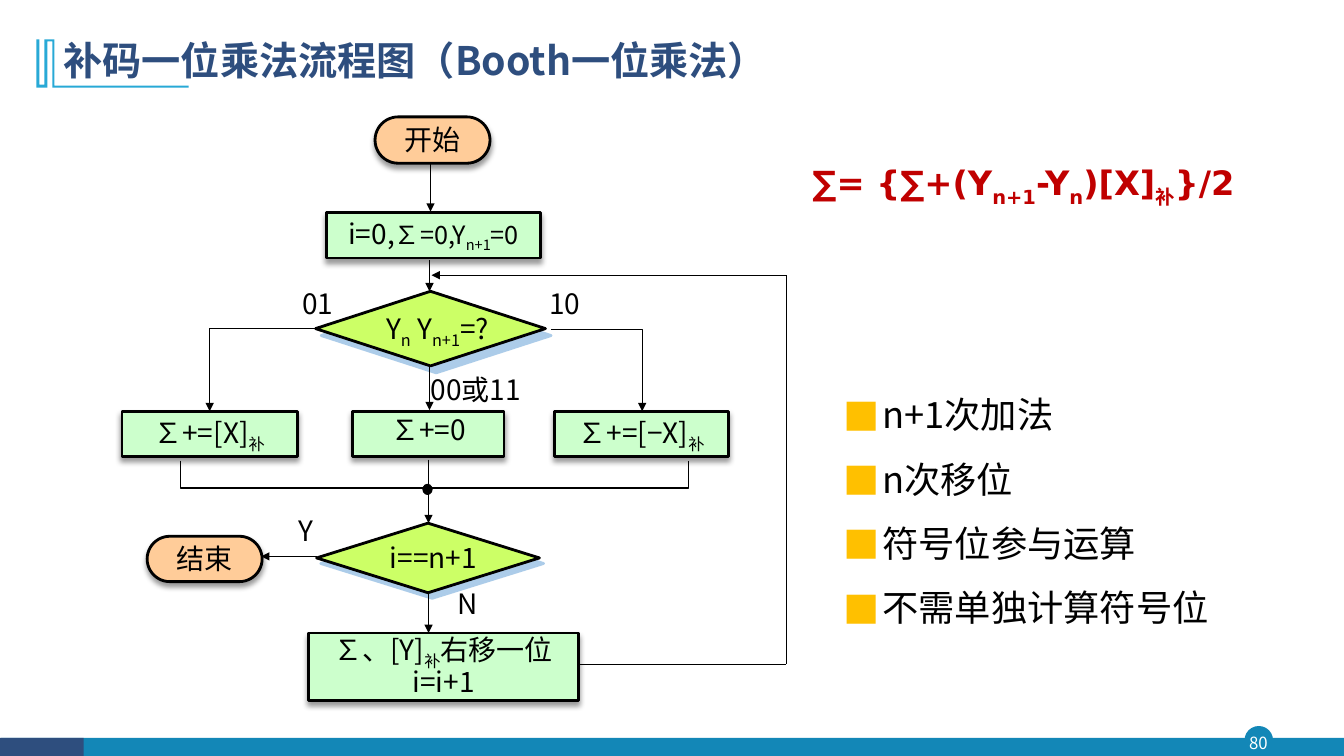
from itertools import pairwise

from lxml import etree
from pptx import Presentation
from pptx.dml.color import RGBColor
from pptx.enum.shapes import MSO_CONNECTOR, MSO_SHAPE
from pptx.enum.text import MSO_ANCHOR, MSO_AUTO_SIZE, PP_ALIGN
from pptx.oxml.ns import qn
from pptx.util import Pt

PX = 9144  # EMU per px, 100 px to the inch
FONT = "Noto Sans CJK SC"
COLORS = {
    "black": "000000", "white": "FFFFFF", "navy": "2E4E7E", "teal": "1387B7",
    "sky": "28A9D6", "peach": "FFCC99", "mint": "CCFFCC", "lime": "CCFF66",
    "blue_shadow": "5B9BD5", "bullet": "FFC000", "red": "C00000",
}
SOFT_SHADOW = ("black", 40, 4, 3, 90)


def rgb(color):
    return RGBColor.from_string(COLORS[color])


def px(*lengths):
    return [length * PX for length in lengths]


def format_run(run, size, color="black", font=FONT, bold=False):
    run.font.size = Pt(size)
    run.font.name = font
    run.font.bold = bold
    run.font.color.rgb = rgb(color)
    etree.SubElement(run.font._element, qn("a:ea")).set("typeface", font)


def write(shape, lines, size=20, color="black", font=FONT, bold=False, spacing=0.8,
          align=PP_ALIGN.CENTER, anchor=MSO_ANCHOR.TOP, insets=(0, 0, 0, 0)):
    """Write lines in which every second part between bars is a subscript."""
    frame = shape.text_frame
    frame.word_wrap = True
    frame.auto_size = MSO_AUTO_SIZE.NONE
    frame.vertical_anchor = anchor
    (frame.margin_left, frame.margin_top,
     frame.margin_right, frame.margin_bottom) = px(*insets)
    for number, line in enumerate(lines):
        paragraph = frame.add_paragraph() if number else frame.paragraphs[0]
        paragraph.alignment = align
        paragraph.line_spacing = spacing
        paragraph.space_before = Pt(3 if number else 0)
        for position, part in enumerate(line.split("|")):
            if part:
                run = paragraph.add_run()
                run.text = part
                format_run(run, size, color, font, bold)
                if position % 2:
                    run.font._element.set("baseline", "-25000")


def add_label(slide, box, text, **style):
    label = slide.shapes.add_textbox(*px(*box))
    write(label, [text], **style)


def add_block(slide, kind, box, fill, line=None, width=1.0):
    block = slide.shapes.add_shape(kind, *px(*box))
    block.shadow.inherit = False
    block.fill.solid()
    block.fill.fore_color.rgb = rgb(fill)
    if line:
        block.line.color.rgb = rgb(line)
        block.line.width = Pt(width)
    else:
        block.line.fill.background()
    return block


def add_shadow(shape, color, opacity, blur, distance, angle):
    effects = shape._element.spPr.find(qn("a:effectLst"))
    outer = etree.SubElement(effects, qn("a:outerShdw"), blurRad=str(Pt(blur)),
                             dist=str(Pt(distance)), dir=str(angle * 60000),
                             algn="ctr", rotWithShape="0")
    tint = etree.SubElement(outer, qn("a:srgbClr"), val=COLORS[color])
    etree.SubElement(tint, qn("a:alpha"), val=str(opacity * 1000))


def add_step(slide, box, lines, **style):
    step = add_block(slide, MSO_SHAPE.RECTANGLE, box, "mint", "black", 2)
    add_shadow(step, *SOFT_SHADOW)
    write(step, lines, **({"insets": (0, 8, 0, 0)} | style))
    return step


def add_terminal(slide, box, text):
    terminal = add_block(slide, MSO_SHAPE.ROUNDED_RECTANGLE, box, "peach", "black", 2)
    terminal.adjustments[0] = 0.5
    add_shadow(terminal, *SOFT_SHADOW)
    write(terminal, [text], insets=(10, 5, 10, 5))


def add_decision(slide, box, text_box, text, shadow_distance, shadow_angle):
    diamond = add_block(slide, MSO_SHAPE.DIAMOND, box, "lime", "black", 2)
    add_shadow(diamond, "blue_shadow", 50, 0, shadow_distance, shadow_angle)
    add_label(slide, text_box, text)


def add_flow(slide, start, end, width=1.0, arrow=True, bent=False):
    kind = MSO_CONNECTOR.ELBOW if bent else MSO_CONNECTOR.STRAIGHT
    flow = slide.shapes.add_connector(kind, *px(*start, *end))
    flow.line.color.rgb = rgb("black")
    flow.line.width = Pt(width)
    properties = flow._element.spPr
    if bent:
        properties.find(qn("a:prstGeom")).set("prst", "bentConnector2")
    if arrow:
        etree.SubElement(properties.find(qn("a:ln")), qn("a:tailEnd"), type="triangle")
    etree.SubElement(properties, qn("a:effectLst"))


def add_outline(slide, points, closed):
    builder = slide.shapes.build_freeform(*points[0], scale=PX)
    builder.add_line_segments(points[1:], close=closed)
    outline = builder.convert_to_shape()
    outline.shadow.inherit = False
    return outline


def add_frame(slide):
    # Footer bar and page number
    add_block(slide, MSO_SHAPE.OVAL, (1235, 721, 27, 27), "teal", "teal")
    add_block(slide, MSO_SHAPE.RECTANGLE, (1, 732, 1332, 18), "teal")
    add_block(slide, MSO_SHAPE.RECTANGLE, (0, 732, 83, 18), "navy")
    add_label(slide, (1232, 721, 32, 31), "80", size=12, color="white",
              spacing=1.0, anchor=MSO_ANCHOR.MIDDLE)
    # Title ornament
    ornament = add_outline(slide, [
        (54, 39), (54, 85), (187, 85), (187, 87), (52, 87), (52, 41), (47, 41),
        (47, 87), (36, 87), (36, 39), (39, 39), (39, 84), (44, 84), (44, 39)], True)
    ornament.fill.solid()
    ornament.fill.fore_color.rgb = rgb("sky")
    ornament.line.fill.background()


def place(placeholder, box):
    (placeholder.left, placeholder.top,
     placeholder.width, placeholder.height) = px(*box)


def fill_bullets(body, items):
    place(body, (827, 375, 445, 298))
    frame = body.text_frame
    frame.text = "\n".join(items)
    frame.auto_size = MSO_AUTO_SIZE.NONE
    for number, paragraph in enumerate(frame.paragraphs):
        paragraph.alignment = PP_ALIGN.JUSTIFY
        paragraph.line_spacing = 1.22
        paragraph.space_before = Pt(8 if number else 0)
        properties = paragraph._p.get_or_add_pPr()
        properties.set("marL", str(38 * PX))
        properties.set("indent", str(-38 * PX))
        bullet_color = etree.SubElement(properties, qn("a:buClr"))
        etree.SubElement(bullet_color, qn("a:srgbClr"), val=COLORS["bullet"])
        etree.SubElement(properties, qn("a:buFont"), typeface=FONT)
        etree.SubElement(properties, qn("a:buChar"), char="■")
        format_run(paragraph.runs[0], 25.9)


def add_flowchart(slide):
    # Steps, decisions and terminals
    add_terminal(slide, (372, 116, 114, 46), "开始")
    initial = add_step(slide, (324, 211, 212, 45), ["i=0,||∑=0,Y|n+1|=0"])
    for run in initial.text_frame.paragraphs[0].runs[1:]:
        run.font.size = Pt(18)
    add_decision(slide, (313, 289, 228, 74), (381, 313, 106, 46), "Y|n| Y|n+1|=?", 6.4, 51)
    for left, width, text in ((121, 174, "∑+=[X]|补"), (350, 150, "∑+=0"),
                              (550, 173, "∑+=[−X]|补")):
        add_step(slide, (left, 408, width, 45), [text])
    add_decision(slide, (314, 519, 221, 69), (377, 543, 106, 46), "i==n+1", 5, 53)
    add_terminal(slide, (146, 532, 114, 45), "结束")
    add_step(slide, (306, 628, 268, 67), ["∑、[Y]|补|右移一位", "i=i+1"],
             anchor=MSO_ANCHOR.MIDDLE, insets=(0, 0, 0, 0))

    # Branches joining again
    junction = add_outline(slide, [(179, 457), (179, 484), (683, 484), (683, 457)], False)
    junction.fill.background()
    junction.line.color.rgb = rgb("black")
    junction.line.width = Pt(1)
    add_block(slide, MSO_SHAPE.OVAL, (420, 481, 8, 9), "black", "black", 1.5)

    # Arrows down the middle and out to the end
    for start, end in (((427, 163), (427, 210)), ((426, 258), (426, 289)),
                       ((426, 362), (426, 407)), ((425, 456), (425, 519)),
                       ((425, 588), (425, 628)), ((314, 552), (259, 552))):
        add_flow(slide, start, end)
    add_flow(slide, (315, 326), (208, 408), bent=True)
    add_flow(slide, (547, 327), (637, 408), bent=True)

    # Loop back to the first decision
    loop = [(574, 659), (780, 659), (780, 273), (428, 273)]
    for start, end in pairwise(loop):
        add_flow(slide, start, end, width=0.75, arrow=end == loop[-1])

    # Branch labels
    for text, box in (("01", (289, 291, 52, 38)), ("10", (534, 291, 52, 46)),
                      ("00或11", (411, 376, 122, 47)), ("Y", (279, 516, 48, 46)),
                      ("N", (440, 588, 48, 46))):
        add_label(slide, box, text)


def main():
    deck = Presentation()
    deck.slide_width, deck.slide_height = px(1333, 750)
    slide = deck.slides.add_slide(deck.slide_layouts[1])
    add_frame(slide)
    title, body = slide.placeholders
    place(title, (53, 28, 1150, 68))
    write(title, ["补码一位乘法流程图（Booth一位乘法）"], size=28, color="navy", bold=True,
          spacing=0.9, align=PP_ALIGN.LEFT, anchor=MSO_ANCHOR.MIDDLE, insets=(10, 5, 10, 5))
    add_flowchart(slide)
    fill_bullets(body, ["n+1次加法", "n次移位", "符号位参与运算", "不需单独计算符号位"])
    add_label(slide, (796, 147, 530, 54), "∑= {∑+(Y|n+1|-Y|n|)[X]|补|}/2", size=24,
              color="red", font="DejaVu Sans", bold=True, spacing=1.2,
              align=PP_ALIGN.LEFT, insets=(10, 5, 10, 5))
    deck.save("out.pptx")


if __name__ == "__main__":
    main()
